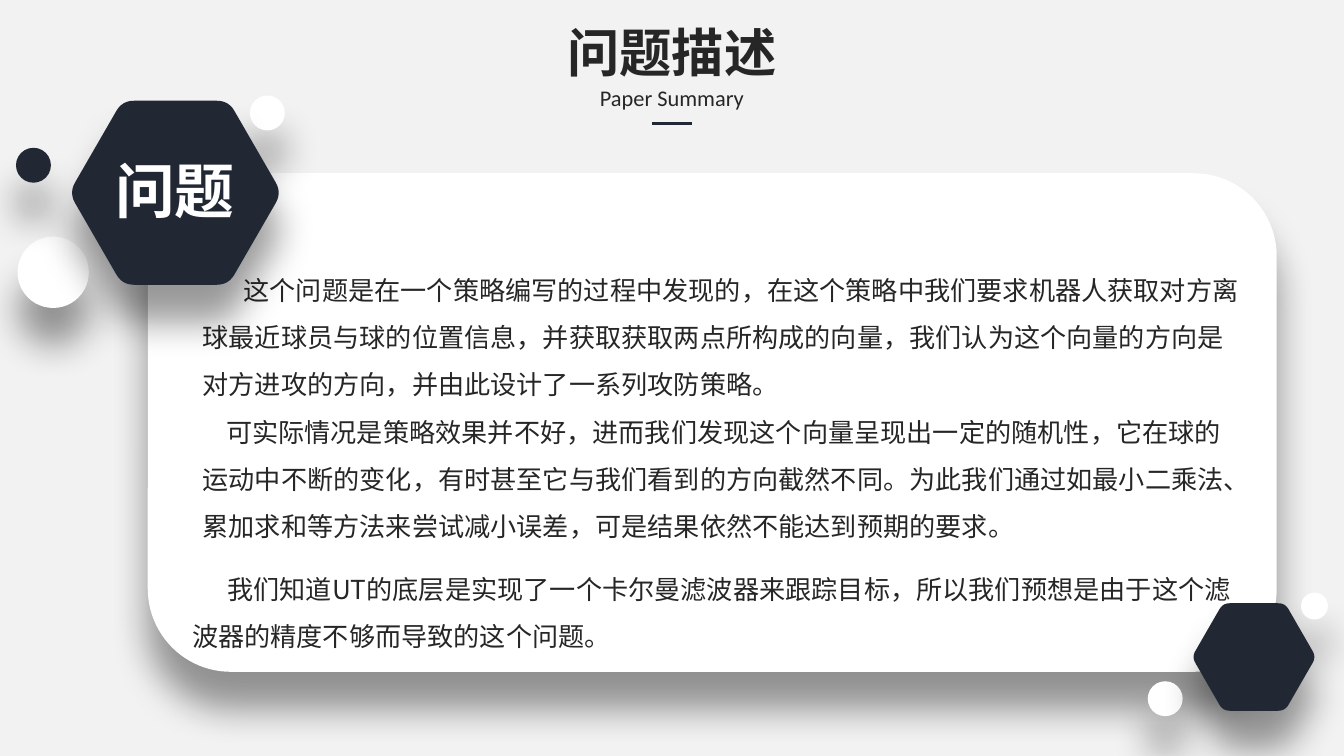
import math
from pptx import Presentation, util as u
from pptx.dml.color import RGBColor
from pptx.enum import shapes as s, text as t
from pptx.oxml import parse_xml
from pptx.oxml.ns import nsdecls, qn

DARK, INK, WHITE, PAPER = "212834", "262626", "FFFFFF", "F2F2F2"
CHINESE, LATIN = "Noto Sans CJK SC", "Calibri"
SPACE = 3.14  # width of one 14 pt space

QUESTION = [
    ("这个问题是在一个策略编写的过程中发现的，在这个策略中我们要求机器人获取对方离"
     "球最近球员与球的位置信息，并获取获取两点所构成的向量，我们认为这个向量的方向是"
     "对方进攻的方向，并由此设计了一系列攻防策略。", 7 * SPACE),
    ("可实际情况是策略效果并不好，进而我们发现这个向量呈现出一定的随机性，它在球的"
     "运动中不断的变化，有时甚至它与我们看到的方向截然不同。为此我们通过如最小二乘法、"
     "累加求和等方法来尝试减小误差，可是结果依然不能达到预期的要求。", 4 * SPACE),
]
CAUSE = [
    ("我们知道UT的底层是实现了一个卡尔曼滤波器来跟踪目标，所以我们预想是由于这个"
     "滤波器的精度不够而导致的这个问题。", 6 * SPACE),
]


def paint(color_format, color):
    color_format.rgb = RGBColor.from_string(color)


def add_effects(shape, content=""):
    shape._element.spPr.append(parse_xml(
        f'<a:effectLst {nsdecls("a")}>{content}</a:effectLst>'))


def finish(shape, color):
    """Plain fill, no outline, soft shadow straight below."""
    shape.fill.solid()
    paint(shape.fill.fore_color, color)
    shape.line.fill.background()
    add_effects(shape, '<a:outerShdw blurRad="254000" dist="254000" dir="5400000" '
                       'algn="t" rotWithShape="0"><a:srgbClr val="000000">'
                       '<a:alpha val="40000"/></a:srgbClr></a:outerShdw>')


def write(shape, lines, size, color, font=CHINESE, bold=False, wrap=True,
          align=t.PP_ALIGN.LEFT, spacing=1.0):
    """Fill a text shape with (text, first-line indent) pairs."""
    frame = shape.text_frame
    frame.word_wrap = wrap
    frame.auto_size = t.MSO_AUTO_SIZE.NONE
    frame.vertical_anchor = t.MSO_ANCHOR.TOP
    for number, (words, indent) in enumerate(lines):
        paragraph = frame.paragraphs[0] if number == 0 else frame.add_paragraph()
        paragraph.alignment = align
        paragraph.line_spacing = spacing
        run = paragraph.add_run()
        run.text = words
        if indent:
            properties = paragraph._p.get_or_add_pPr()
            properties.set("marL", "0")
            properties.set("indent", str(int(u.Pt(indent))))
        run.font.name, run.font.size, run.font.bold = font, u.Pt(size), bold
        paint(run.font.color, color)
        east_asian = run._r.get_or_add_rPr().makeelement(qn("a:ea"), {"typeface": font})
        run.font._element.find(qn("a:latin")).addnext(east_asian)


def add_text(slide, left, top, width, height, lines, size, color, **style):
    box = slide.shapes.add_textbox(u.Pt(left), u.Pt(top), u.Pt(width), u.Pt(height))
    write(box, lines, size, color, **style)


def add_hexagon(slide, center_x, center_y, height, color, cut=0.11, steps=6):
    """Regular hexagon whose corners are rounded by quadratic curves."""
    side = height / math.sqrt(3)
    corners = [(center_x + side * math.cos(math.radians(60 * i)),
                center_y + side * math.sin(math.radians(60 * i))) for i in range(6)]
    points = []
    for i, corner in enumerate(corners):
        before, after = corners[i - 1], corners[(i + 1) % 6]
        for step in range(steps + 1):
            f = step / steps
            points.append(tuple(
                u.Pt(c + cut * ((1 - f) ** 2 * (b - c) + f ** 2 * (a - c)))
                for b, c, a in zip(before, corner, after)))
    builder = slide.shapes.build_freeform(*points[0], scale=1.0)
    builder.add_line_segments(points[1:], close=True)
    finish(builder.convert_to_shape(), color)


def add_heading(slide, left, top, width):
    """Title, subtitle and short rule, centred in the given width."""
    title = slide.shapes.title
    title.left, title.top = u.Pt(left), u.Pt(top)
    title.width, title.height = u.Pt(width), u.Pt(41)
    center = t.PP_ALIGN.CENTER
    write(title, [("问题描述", 0)], 28, INK, bold=True, wrap=False, align=center)
    add_text(slide, left, top + 34.6, width, 21.6, [("Paper Summary", 0)], 12, INK,
             font=LATIN, wrap=False, align=center)
    middle, rule_y = left + width / 2, top + 59
    rule = slide.shapes.add_connector(
        s.MSO_CONNECTOR.STRAIGHT, u.Pt(middle - 10.8), u.Pt(rule_y),
        u.Pt(middle + 10.8), u.Pt(rule_y))
    paint(rule.line.color, DARK)
    rule.line.width = u.Pt(1.5)
    add_effects(rule)


def add_card(slide, left, top, width, height):
    """White rounded panel with the two text blocks."""
    card = slide.shapes.add_shape(s.MSO_SHAPE.ROUNDED_RECTANGLE, u.Pt(left), u.Pt(top),
                                  u.Pt(width), u.Pt(height))
    finish(card, WHITE)
    add_text(slide, left + 22.3, top + 42.5, 573.1, 160, QUESTION, 14, INK, spacing=1.5)
    add_text(slide, left + 16.6, top + 202.3, 571.7, 58.3, CAUSE, 14, INK, spacing=1.5)


def add_badge(slide, left, top, hexagon, circles, label=None):
    """Dark hexagon (centre x, y, height) with circles (x, y, diameter, colour)."""
    for x, y, diameter, color in circles:
        circle = slide.shapes.add_shape(s.MSO_SHAPE.OVAL, u.Pt(left + x), u.Pt(top + y),
                                        u.Pt(diameter), u.Pt(diameter))
        finish(circle, color)
    x, y, height = hexagon
    add_hexagon(slide, left + x, top + y, height, DARK)
    if label:
        add_text(slide, left + x - 69.4, top + y - 24.2, 138.2, 46, [(label, 0)], 32,
                 WHITE, bold=True, align=t.PP_ALIGN.CENTER)


presentation = Presentation()
presentation.slide_width, presentation.slide_height = u.Pt(720), u.Pt(405)
slide = presentation.slides.add_slide(presentation.slide_layouts[5])
slide.background.fill.solid()
paint(slide.background.fill.fore_color, PAPER)

add_card(slide, 79.2, 92.8, 604.8, 267.1)
add_badge(slide, 8.6, 51.2, (85.4, 52.1, 98.6),
          [(0.8, 75.6, 38.2, WHITE), (0, 28, 18.7, DARK), (125.3, 0, 18.7, WHITE)],
          label="问题")
add_badge(slide, 614.9, 317.5, (56.9, 34.5, 57.6),
          [(0, 47.5, 18.7, WHITE), (82.1, 0, 14.4, WHITE)])
add_heading(slide, 296.6, 7.2, 126.8)

presentation.save("out.pptx")
